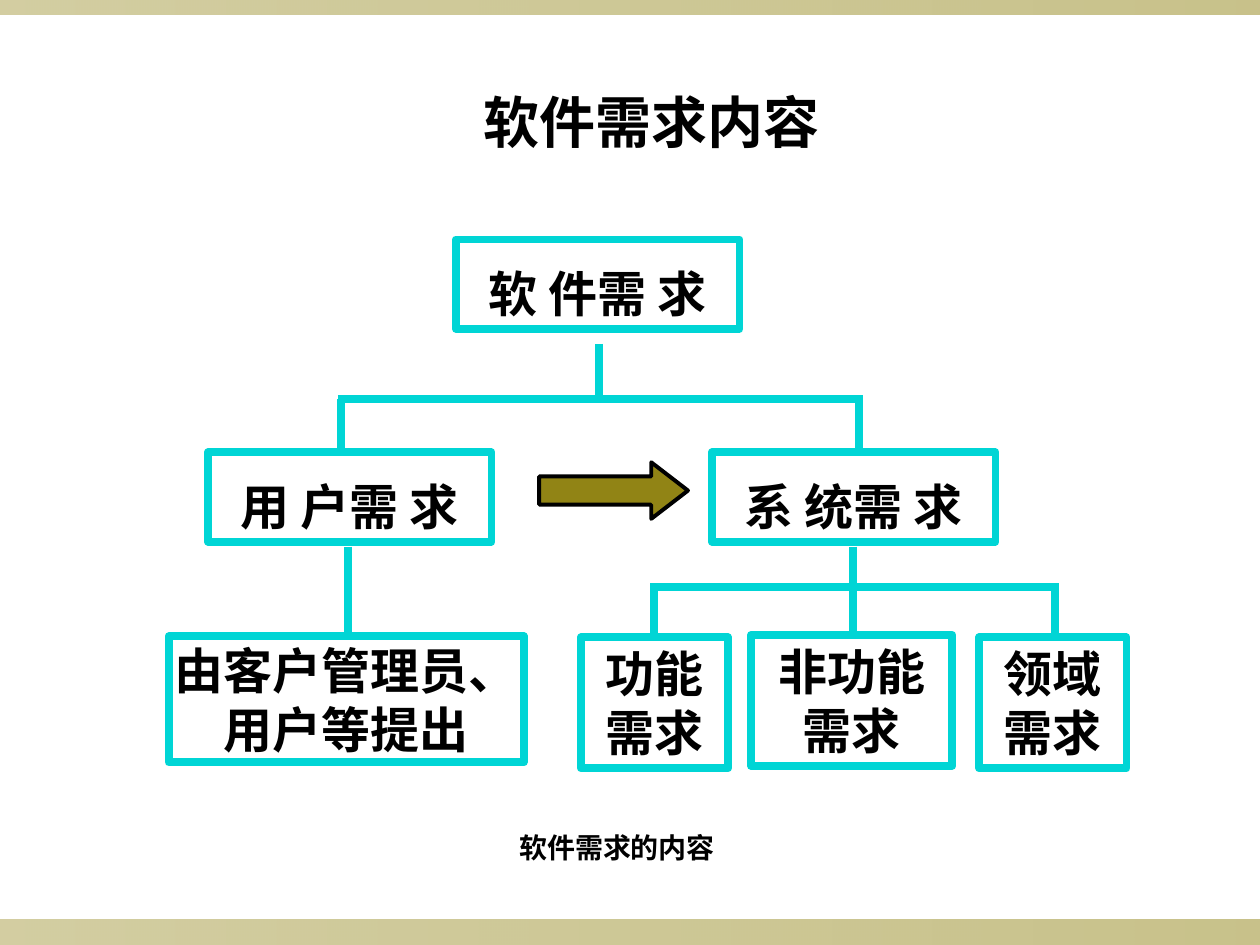
from lxml import etree
from pptx import Presentation
from pptx.dml.color import RGBColor
from pptx.enum import lang, shapes, text
from pptx.oxml import ns
from pptx.util import Cm, Pt

CYAN = RGBColor(0x00, 0xD5, 0xD5)
OLIVE = RGBColor(0x91, 0x84, 0x15)
BLACK = RGBColor(0, 0, 0)
SANS, SERIF = "Noto Sans CJK JP", "Times New Roman"
WIDE, HIGH = 25.4, 19.05

# All places are in cm: left, top, width, height
TITLE = ("软件需求内容", (2.69, 1.63, 20.88, 1.63))
NOTE = ("软件需求的内容", (7.26, 16.61, 10.36, 0.94))
BARS = [(0, HIGH - 0.51, WIDE, 0.51), (0, 0, WIDE, 0.3)]
ARROW = (10.87, 9.32, 3, 1.14)

HEAD = (5.72, 1.8)
HEADS = [
    ("软 件需 求", (9.19, 4.83)),
    ("用 户需 求", (4.19, 9.12)),
    ("系 统需 求", (14.35, 9.12)),
]
LEAVES = [
    ("功能需求", (11.71, 12.85, 2.97, 2.64)),
    ("非功能需求", (15.14, 12.8, 4.06, 2.64)),
    ("领域需求", (19.74, 12.85, 2.97, 2.64)),
]
SOURCE = ("由客户管理员、\n用户等提出", (3.4, 12.83, 7.16, 2.54))

# Tree lines: stems are x, top, bottom; rails are y, left, right
STEMS = [
    (12.07, 6.93, 7.98), (6.88, 8.05, 9.12), (17.32, 8.08, 9.14),
    (21.26, 11.84, 12.85), (13.18, 11.84, 12.85),
    (17.2, 11.02, 12.8), (7.01, 11.02, 12.9),
]
RAILS = [(8.05, 6.81, 17.4), (11.84, 13.11, 21.34)]


def place(spot):
    return [Cm(n) for n in spot]


def write(shape, words, size, face, lead=1.2, **frame):
    """Fill a shape with bold centred text; lead is line height in ems."""
    box = shape.text_frame
    look = {"word_wrap": True, "auto_size": text.MSO_AUTO_SIZE.NONE,
            "vertical_anchor": text.MSO_ANCHOR.TOP,
            "margin_left": Cm(0.25), "margin_right": Cm(0.25),
            "margin_top": Cm(0.13), "margin_bottom": Cm(0.13)}
    for key, val in {**look, **frame}.items():
        setattr(box, key, val)
    box.text = words
    for par in box.paragraphs:
        par.alignment = text.PP_ALIGN.CENTER
        par.line_spacing = Pt(round(size * lead, 1))
        for run in par.runs:
            font = run.font
            for key, val in {"size": Pt(size), "bold": True, "name": face,
                             "language_id": lang.MSO_LANGUAGE_ID.SIMPLIFIED_CHINESE}.items():
                setattr(font, key, val)
            font.color.rgb = BLACK
            asia = etree.Element(ns.qn("a:ea"), typeface=SANS)
            run._r.rPr.find(ns.qn("a:latin")).addnext(asia)


def add_box(slide, spot):
    box = slide.shapes.add_shape(shapes.MSO_SHAPE.RECTANGLE, *place(spot))
    box.shadow.inherit = False
    box.fill.background()
    box.line.color.rgb = CYAN
    box.line.width = Pt(4.5)
    return box


def add_bar(slide, spot):
    bar = slide.shapes.add_shape(shapes.MSO_SHAPE.RECTANGLE, *place(spot))
    bar.shadow.inherit = False
    bar.line.fill.background()
    bar.fill.gradient()
    bar.fill.gradient_angle = 0
    for stop, pos, alpha in zip(bar.fill.gradient_stops, (0, 1), (40, 50)):
        stop.position = pos
        stop.color.rgb = OLIVE
    for tone, alpha in zip(bar._element.spPr.iter(ns.qn("a:srgbClr")), (40, 50)):
        etree.SubElement(tone, ns.qn("a:alpha"), val=str(alpha * 1000))


def add_line(slide, *ends):
    line = slide.shapes.add_connector(shapes.MSO_CONNECTOR.STRAIGHT, *place(ends))
    line.line.color.rgb = CYAN
    line.line.width = Pt(4.5)
    etree.SubElement(line._element.spPr, ns.qn("a:effectLst"))


def add_arrow(slide):
    arrow = slide.shapes.add_shape(shapes.MSO_SHAPE.RIGHT_ARROW, *place(ARROW))
    arrow.shadow.inherit = False
    arrow.adjustments[0], arrow.adjustments[1] = 0.5, 0.65
    arrow.fill.solid()
    arrow.fill.fore_color.rgb = OLIVE
    arrow.line.color.rgb = BLACK
    arrow.line.width = Pt(2.25)


def main():
    deck = Presentation()
    deck.slide_width, deck.slide_height = Cm(WIDE), Cm(HIGH)
    slide = deck.slides.add_slide(deck.slide_layouts[5])

    for spot in BARS:
        add_bar(slide, spot)
    for words, spot in HEADS:
        write(add_box(slide, spot + HEAD), words, 28, SANS, lead=1.56)
    for words, spot in LEAVES:
        write(add_box(slide, spot), words, 28, SANS)
    for x, top, low in STEMS:
        add_line(slide, x, top, x, low)
    for y, left, right in RAILS:
        add_line(slide, left, y, right, y)

    words, spot = SOURCE
    write(add_box(slide, spot), words, 28, SERIF, word_wrap=False,
          vertical_anchor=text.MSO_ANCHOR.MIDDLE)
    words, spot = NOTE
    write(slide.shapes.add_textbox(*place(spot)), words, 16, SERIF)
    words, spot = TITLE
    title = slide.shapes.title
    title.left, title.top, title.width, title.height = place(spot)
    write(title, words, 32, SERIF)
    add_arrow(slide)
    deck.save("out.pptx")


if __name__ == "__main__":
    main()
